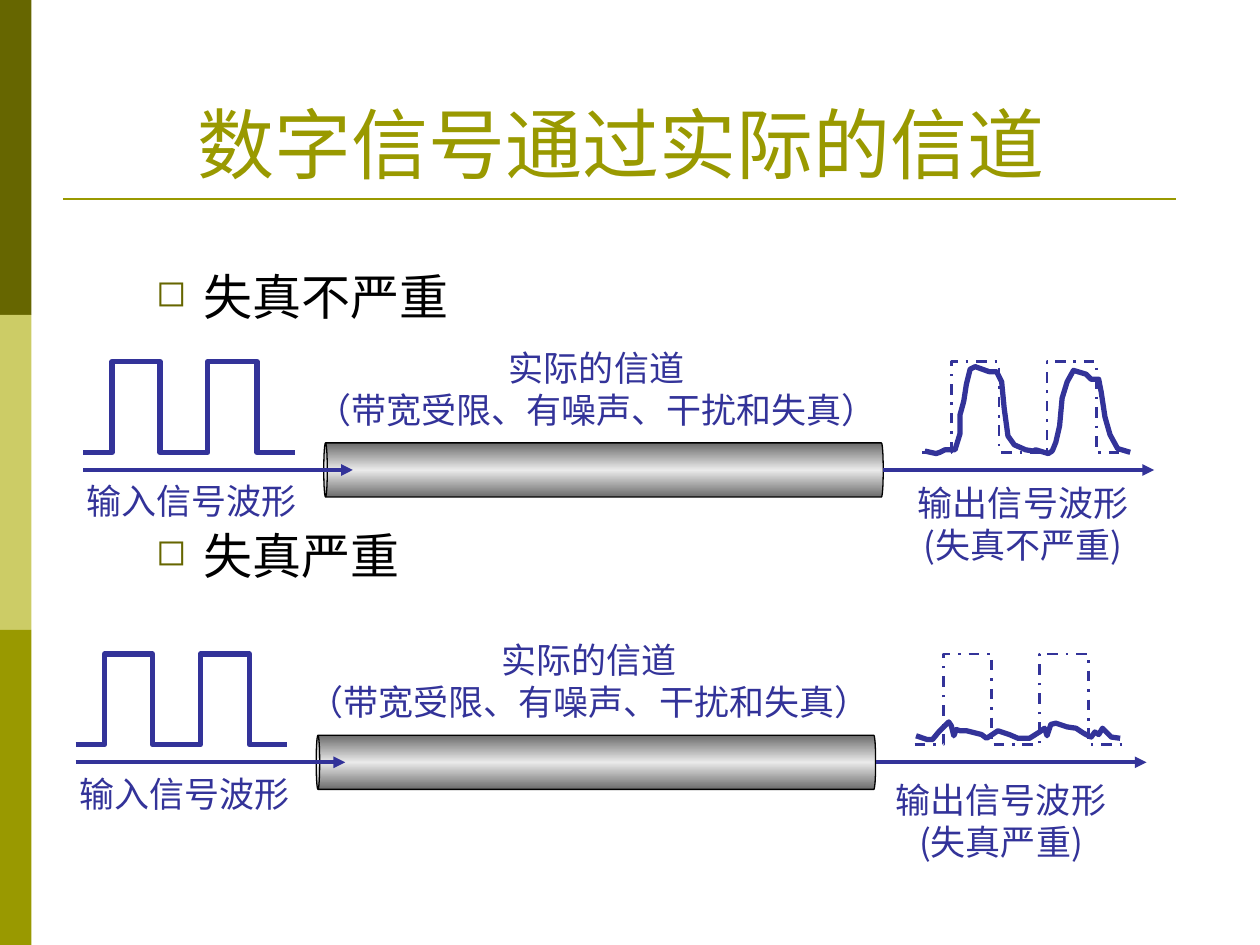
from lxml import etree
from copy import deepcopy
from pptx import Presentation
from pptx.dml.color import RGBColor
from pptx.enum.dml import MSO_LINE
from pptx.enum.shapes import MSO_CONNECTOR, MSO_SHAPE
from pptx.enum.text import MSO_ANCHOR, PP_ALIGN
from pptx.oxml.ns import qn
from pptx.util import Inches, Pt

RECT, CAN = MSO_SHAPE.RECTANGLE, MSO_SHAPE.CAN
STRAIGHT, DASH_DOT = MSO_CONNECTOR.STRAIGHT, MSO_LINE.DASH_DOT
LEFT, CENTER = PP_ALIGN.LEFT, PP_ALIGN.CENTER
TOP, BOTTOM = MSO_ANCHOR.TOP, MSO_ANCHOR.BOTTOM

W, H = Inches(10), Inches(7.5)
CELL = W // 100
FINE = CELL // 10

DARK_OLIVE = RGBColor(0x66, 0x66, 0x00)
LIGHT_OLIVE = RGBColor(0xCC, 0xCC, 0x66)
OLIVE = RGBColor(0x99, 0x99, 0x00)
INDIGO = RGBColor(0x33, 0x33, 0x99)
BLACK = RGBColor(0, 0, 0)
STEEL = RGBColor(0x6C, 0x6C, 0x6C)
SILVER = RGBColor(0xEA, 0xEA, 0xEA)

SERIF, SANS, CJK = "Times New Roman", "DejaVu Sans", "Noto Sans CJK SC"

PULSES = [(0, 72), (23, 72), (23, 0), (61, 0), (61, 72), (99, 72),
          (99, 0), (138, 0), (138, 72), (168, 72)]
MILD = [(2, 71), (11, 73), (14, 72), (18, 70), (26, 70), (30, 57), (30, 42),
        (32, 35), (33, 31), (35, 18), (38, 6), (42, 4), (53, 8), (59, 8),
        (63, 16), (65, 37), (68, 59), (73, 66), (82, 70), (88, 71), (90, 70),
        (100, 73), (103, 71), (104, 69), (106, 64), (109, 51), (111, 29),
        (115, 16), (120, 7), (130, 10), (134, 14), (140, 14), (142, 24),
        (145, 44), (149, 58), (155, 69), (165, 72)]
SEVERE = [(1, 65), (10, 68), (14, 68), (19, 62), (27, 54), (29, 57), (31, 65),
          (33, 60), (36, 61), (41, 61), (53, 64), (57, 67), (66, 61), (75, 64),
          (82, 67), (91, 67), (99, 62), (103, 59), (105, 65), (108, 56),
          (112, 55), (121, 58), (128, 59), (134, 63), (140, 66), (143, 62),
          (146, 64), (149, 59), (156, 66), (163, 67)]


def cells(*values):
    return [round(v * CELL) for v in values]


def add_text(s, box, lines, size, font, color, align=LEFT, anchor=TOP, wrap=True):
    tf = s.shapes.add_textbox(*cells(*box)).text_frame
    tf.word_wrap = wrap
    tf.vertical_anchor = anchor
    tf.text = "\n".join(lines)
    for p in tf.paragraphs:
        p.alignment = align
        for r in p.runs:
            r.font.size = Pt(size)
            r.font.name = font
            r.font.color.rgb = color
            etree.SubElement(r.font._element, qn("a:ea"), typeface=CJK)
    return tf


def add_line(s, x1, x2, y, color, width, arrow=False):
    sp = s.shapes.add_connector(STRAIGHT, *cells(x1, y, x2, y))
    sp.line.color.rgb = color
    sp.line.width = Pt(width)
    if arrow:
        etree.SubElement(sp.line._get_or_add_ln(), qn("a:tailEnd"), type="triangle")
    etree.SubElement(sp._element.spPr, qn("a:effectLst"))


def add_wave(s, x, y, points, width, dash=None):
    builder = s.shapes.build_freeform(*points[0], scale=FINE)
    builder.add_line_segments(points[1:], close=False)
    sp = builder.convert_to_shape(*cells(x, y))
    sp.shadow.inherit = False
    sp.fill.background()
    sp.line.color.rgb = INDIGO
    sp.line.width = Pt(width)
    if dash:
        sp.line.dash_style = dash


def add_tube(s, x, y, length, thick):
    left, top = x + (length - thick) / 2, y - length / 2
    sp = s.shapes.add_shape(CAN, *cells(left, top, thick, length))
    sp.rotation = 270
    sp.adjustments[0] = 0.065
    sp.shadow.inherit = False
    sp.line.color.rgb = BLACK
    sp.line.width = Pt(0.75)
    sp.fill.gradient()
    sp.fill.gradient_angle = 0
    stops = sp._element.spPr.find(qn("a:gradFill")).find(qn("a:gsLst"))
    stops.append(deepcopy(stops[0]))
    for stop, pos, color in zip(sp.fill.gradient_stops, (0, 0.5, 1), (STEEL, SILVER, STEEL)):
        stop.position = pos
        stop.color.rgb = color


def add_side_bar(s, width):
    third = H // 3
    for i, color in enumerate((DARK_OLIVE, LIGHT_OLIVE, OLIVE)):
        sp = s.shapes.add_shape(RECT, 0, i * third, width, third)
        sp.shadow.inherit = False
        sp.fill.solid()
        sp.fill.fore_color.rgb = color
        sp.line.fill.background()


def add_title(s, x, y, w, h):
    add_line(s, x, x + 88.3, y + h + 0.3, OLIVE, 1.5)
    add_text(s, (x, y, w, h), ["数字信号通过实际的信道 "], 44, SERIF, OLIVE, CENTER, BOTTOM)


def add_cases(s, *box):
    tf = add_text(s, box, ["失真不严重", "失真严重"], 28, SANS, BLACK)
    tf.paragraphs[1].space_before = Pt(111)
    for p in tf.paragraphs:
        p.line_spacing = 1.1
        pPr = p._p.get_or_add_pPr()
        pPr.set("marL", str(Inches(0.38)))
        pPr.set("indent", str(-Inches(0.38)))
        color = etree.SubElement(pPr, qn("a:buClr"))
        etree.SubElement(color, qn("a:srgbClr"), val=str(DARK_OLIVE))
        etree.SubElement(pPr, qn("a:buSzPct"), val="75000")
        etree.SubElement(pPr, qn("a:buChar"), char="◻")


def add_channel(s, x, y, received, verdict, verdict_box):
    axis = y + 8.6
    add_tube(s, x + 19.1, axis, 44.4, 4.3)
    add_wave(s, x, y, PULSES, 3)
    add_line(s, x, x + 21.4, axis, INDIGO, 2.25, arrow=True)
    add_wave(s, x + 66.6, y, PULSES, 1.5, DASH_DOT)
    add_line(s, x + 63.5, x + 85, axis, INDIGO, 2.25, arrow=True)
    add_wave(s, x + 66.6, y, received, 3)
    add_text(s, (x + 17.5, y - 1.7, 46.5, 7.7),
             ["实际的信道", "（带宽受限、有噪声、干扰和失真）"], 20, SERIF, INDIGO, CENTER, wrap=False)
    add_text(s, (x - 0.7, y + 8.9, 18.7, 4.4), ["输入信号波形"], 20, CJK, INDIGO, wrap=False)
    dx, dy, w, h = verdict_box
    add_text(s, (x + dx, y + dy, w, h), ["输出信号波形", verdict], 20, CJK, INDIGO, CENTER)


def main():
    prs = Presentation()
    prs.slide_width, prs.slide_height = W, H
    s = prs.slides.add_slide(prs.slide_layouts[6])
    add_side_bar(s, W // 40)
    add_title(s, 5, 3, 90, 12.5)
    add_cases(s, 11.4, 20.2, 85, 45)
    add_channel(s, 6.6, 28.7, MILD, "(失真不严重)", (64.1, 9, 21, 7.7))
    add_channel(s, 6, 51.9, SEVERE, "(失真严重)", (63.3, 9.4, 20.3, 7.7))
    prs.save("out.pptx")


if __name__ == "__main__":
    main()
